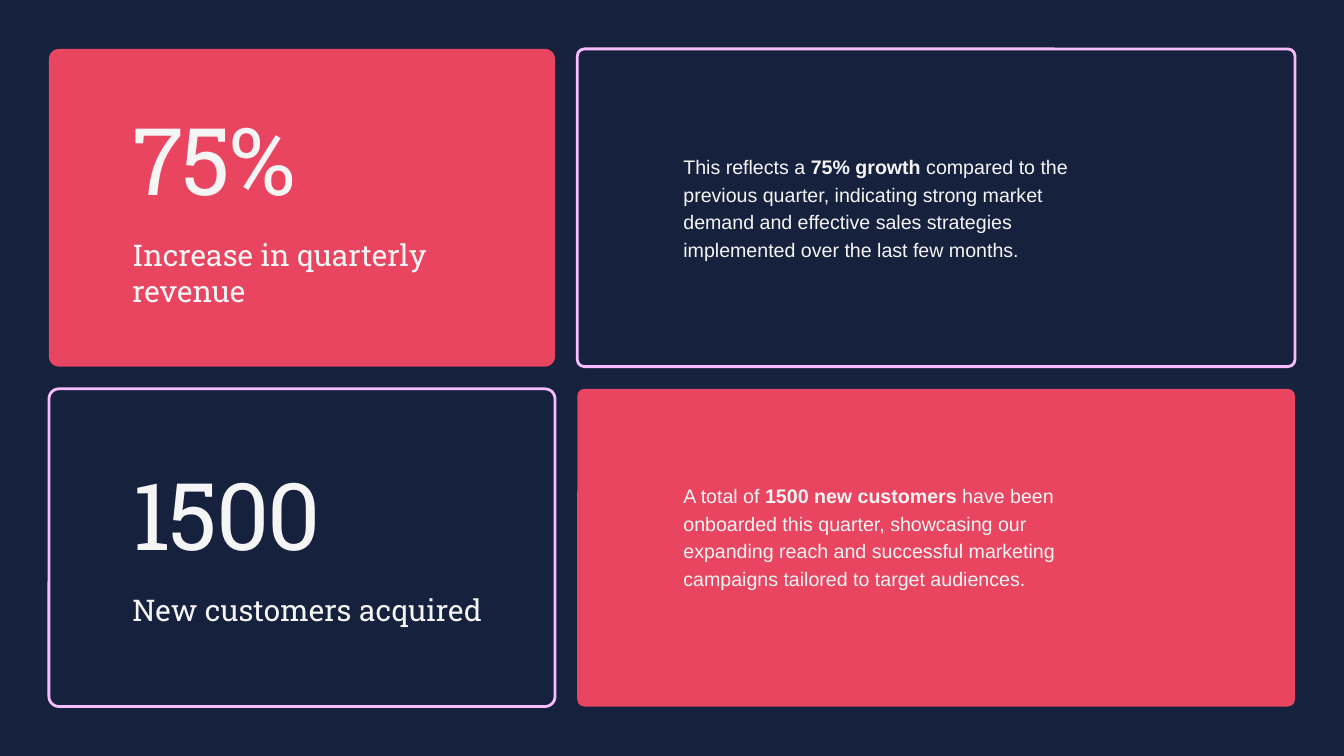
from dataclasses import dataclass

from pptx import Presentation
from pptx.dml.color import RGBColor
from pptx.enum.shapes import MSO_SHAPE as Shape
from pptx.enum.text import MSO_AUTO_SIZE as AutoSize
from pptx.util import Cm, Pt

COLORS = {"navy": "16213E", "coral": "E94560", "pink": "F8BDFF", "text": "F5F5F5"}
MARGIN, GAP = 1.85, 0.84
STAT_W, DETAIL_W, CARD_H = 19.13, 27.13, 12.01
DETAIL_X = MARGIN + STAT_W + GAP


@dataclass
class Style:
    font: str
    size: float
    leading: float
    spacing: float = 0


@dataclass
class Stat:
    value: str
    label: str
    label_h: float
    detail: tuple[str, str, str]
    value_y: float
    detail_y: float
    stat_filled: bool


FIGURE = Style("Roboto Slab", 100, 120, -2)
LABEL = Style("Roboto Slab", 32, 38.4)
BODY = Style("Arial", 21, 29.4)

STATS = [
    Stat("75%", "Increase in quarterly revenue", 2.72,
         ("This reflects a ", "75% growth",
          " compared to the previous quarter, indicating strong market demand and "
          "effective sales strategies implemented over the last few months."),
         3.86, 5.72, True),
    Stat("1500", "New customers acquired", 1.37,
         ("A total of ", "1500 new customers",
          " have been onboarded this quarter, showcasing our expanding reach and "
          "successful marketing campaigns tailored to target audiences."),
         17.27, 18.16, False),
]


def rgb(name: str) -> RGBColor:
    return RGBColor.from_string(COLORS[name])


def add_card(slide, x: float, y: float, w: float, radius: float, filled: bool) -> None:
    sp = slide.shapes.add_shape(Shape.ROUNDED_RECTANGLE, Cm(x), Cm(y), Cm(w), Cm(CARD_H))
    sp.adjustments[0] = radius / CARD_H
    sp.shadow.inherit = False
    sp.fill.solid()
    sp.fill.fore_color.rgb = rgb("coral" if filled else "navy")
    if filled:
        sp.line.fill.background()
    else:
        sp.line.color.rgb = rgb("pink")
        sp.line.width = Pt(3)


def add_text(slide, x: float, y: float, w: float, h: float, style: Style,
             text: str, bold: str = "", rest: str = "") -> None:
    tf = slide.shapes.add_textbox(Cm(x), Cm(y), Cm(w), Cm(h)).text_frame
    tf.margin_left = tf.margin_top = tf.margin_right = tf.margin_bottom = 0
    tf.word_wrap = True
    tf.auto_size = AutoSize.SHAPE_TO_FIT_TEXT
    p = tf.paragraphs[0]
    p.line_spacing = Pt(style.leading)
    p.font.name = style.font
    p.font.size = Pt(style.size)
    p.font.color.rgb = rgb("text")
    for part in filter(None, (text, bold, rest)):
        r = p.add_run()
        r.text = part
        if part == bold:
            r.font.bold = True
        if style.spacing:
            r._r.get_or_add_rPr().set("spc", str(round(style.spacing * 100)))


def add_stat(slide, row: int, stat: Stat) -> None:
    y = MARGIN + row * (CARD_H + GAP)
    add_card(slide, MARGIN, y, STAT_W, 0.38, stat.stat_filled)
    add_card(slide, DETAIL_X, y, DETAIL_W, 0.27, not stat.stat_filled)
    add_text(slide, 5, stat.value_y, 13.28, 4.22, FIGURE, stat.value)
    add_text(slide, 5, stat.value_y + 5.08, 13.28, stat.label_h, LABEL, stat.label)
    add_text(slide, 25.83, stat.detail_y, 15.14, 4.11, BODY, *stat.detail)


def main() -> None:
    prs = Presentation()
    prs.slide_width, prs.slide_height = Cm(50.8), Cm(28.58)
    slide = prs.slides.add_slide(prs.slide_layouts.get_by_name("Blank"))
    slide.background.fill.solid()
    slide.background.fill.fore_color.rgb = rgb("navy")
    for row, stat in enumerate(STATS):
        add_stat(slide, row, stat)
    prs.save("out.pptx")


if __name__ == "__main__":
    main()
